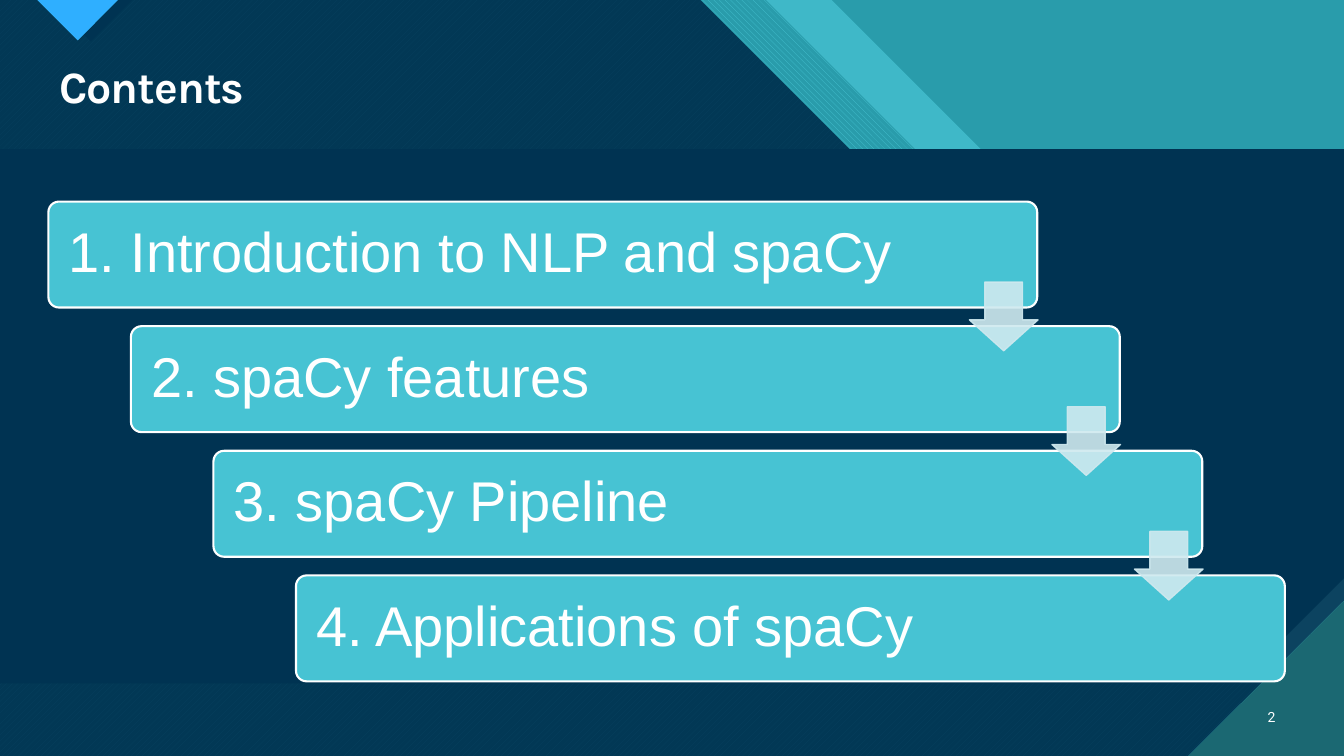
"""Build the contents slide: a staircase of four topics joined by arrows."""
from dataclasses import dataclass
from typing import Optional

from lxml import etree
from pptx import Presentation
from pptx.dml.color import RGBColor
from pptx.enum.dml import MSO_PATTERN
from pptx.enum.shapes import MSO_SHAPE
from pptx.enum.text import MSO_ANCHOR, PP_ALIGN
from pptx.oxml.ns import qn
from pptx.util import Cm, Pt

ROUNDED = MSO_SHAPE.ROUNDED_RECTANGLE
DOWN_ARROW = MSO_SHAPE.DOWN_ARROW
SNIPPED = MSO_SHAPE.SNIP_1_RECTANGLE
DOWN_DIAGONAL = MSO_PATTERN.WIDE_DOWNWARD_DIAGONAL
UP_DIAGONAL = MSO_PATTERN.WIDE_UPWARD_DIAGONAL
DARK_VERTICAL = MSO_PATTERN.DARK_VERTICAL
DARK_HORIZONTAL = MSO_PATTERN.DARK_HORIZONTAL
TOP, MIDDLE = MSO_ANCHOR.TOP, MSO_ANCHOR.MIDDLE
LEFT, RIGHT = PP_ALIGN.LEFT, PP_ALIGN.RIGHT

WHITE = RGBColor(0xFF, 0xFF, 0xFF)
NAVY = RGBColor(0x00, 0x33, 0x52)
SLATE = RGBColor(0x0C, 0x43, 0x60)
TEAL = RGBColor(0x29, 0x9C, 0xAB)
AQUA = RGBColor(0x47, 0xC3, 0xD3)
PINE = RGBColor(0x1B, 0x68, 0x72)
BLUE = RGBColor(0x2F, 0xAF, 0xFF)
PALE = RGBColor(0xCF, 0xE9, 0xEF)

WIDTH, HEIGHT = 33.87, 19.05
SHOULDER_TOP = 7.54
STEP_LEFT, STEP_TOP, STEP_WIDTH, STEP_HEIGHT = 1.22, 5.08, 24.92, 2.67
ARROW_LEFT, ARROW_TOP, ARROW_SIZE = 24.43, 7.11, 1.73
SHIFT_RIGHT, SHIFT_DOWN = 2.08, 3.14
TOPICS = (
    "1. Introduction to NLP and spaCy",
    "2. spaCy features",
    "3. spaCy Pipeline",
    "4. Applications of spaCy",
)


@dataclass(frozen=True)
class Paint:
    """A solid or patterned fill."""
    color: RGBColor
    pattern: Optional[MSO_PATTERN] = None
    back: Optional[RGBColor] = None
    opacity: int = 100


@dataclass(frozen=True)
class Band:
    """A background layer with a diagonal right edge."""
    left: float
    edge: float
    shoulder: float
    paint: Paint


@dataclass(frozen=True)
class Triangle:
    """A three-cornered ornament."""
    corners: tuple
    paint: Paint


@dataclass(frozen=True)
class TextStyle:
    """Font and placement of a line of text."""
    font: str
    size: int
    bold: bool = False
    align: PP_ALIGN = LEFT
    anchor: MSO_ANCHOR = MIDDLE


BANDS = (
    Band(0, 20.96, 31.34, Paint(AQUA, opacity=74)),
    Band(1.68, 19.3, 30.07, Paint(AQUA, DOWN_DIAGONAL, TEAL)),
    Band(0, 17.65, 28.4, Paint(AQUA, UP_DIAGONAL, PINE)),
    Band(0, 17.65, 28.4, Paint(NAVY, opacity=90)),
)
TRIANGLES = (
    Triangle(((1.22, 0), (3.33, 0), (2.29, 1.04)), Paint(NAVY)),
    Triangle(((0.94, 0), (2.97, 0), (1.96, 1.02)), Paint(BLUE, DARK_HORIZONTAL, PINE)),
    Triangle(((29.95, HEIGHT), (WIDTH, HEIGHT), (WIDTH, 15.14)),
             Paint(PINE, DARK_HORIZONTAL, AQUA)),
)
PANELS = (
    (0, Paint(SLATE, DARK_VERTICAL, PINE)),
    (0.197, Paint(NAVY)),
)
TITLE_STYLE = TextStyle("Karla", 32, bold=True, anchor=TOP)
NUMBER_STYLE = TextStyle("Roboto", 10, align=RIGHT)
TOPIC_STYLE = TextStyle("Arial", 40)


def set_opacity(element, percent: int) -> None:
    """Give every colour inside the element the same opacity."""
    for color in element.iter(qn("a:srgbClr")):
        etree.SubElement(color, qn("a:alpha")).set("val", str(percent * 1000))


def paint_shape(shape, paint: Paint) -> None:
    """Fill a shape and remove its shadow and outline."""
    shape.shadow.inherit = False
    shape.line.fill.background()
    if paint.pattern is None:
        shape.fill.solid()
    else:
        shape.fill.patterned()
        shape.fill.pattern = paint.pattern
        shape.fill.back_color.rgb = paint.back
    shape.fill.fore_color.rgb = paint.color
    if paint.opacity < 100:
        set_opacity(shape.element.spPr, paint.opacity)


def add_preset(slide, preset, left: float, top: float, width: float, height: float, paint: Paint):
    """Add a painted preset shape, measured in centimetres."""
    shape = slide.shapes.add_shape(preset, Cm(left), Cm(top), Cm(width), Cm(height))
    paint_shape(shape, paint)
    return shape


def add_polygon(slide, corners: tuple, paint: Paint) -> None:
    """Add a painted polygon, measured in centimetres."""
    points = [(Cm(x), Cm(y)) for x, y in corners]
    builder = slide.shapes.build_freeform(*points[0])
    builder.add_line_segments(points[1:], close=True)
    paint_shape(builder.convert_to_shape(), paint)


def add_band(slide, band: Band) -> None:
    """Add a layer whose edge runs down at 45 degrees, with a shoulder."""
    corners = (
        (band.left, 0),
        (band.edge, 0),
        (band.edge + SHOULDER_TOP, SHOULDER_TOP),
        (band.shoulder, SHOULDER_TOP),
        (WIDTH, SHOULDER_TOP + WIDTH - band.shoulder),
        (WIDTH, HEIGHT),
        (band.left, HEIGHT),
    )
    add_polygon(slide, corners, band.paint)


def add_panel(slide, snip: float, paint: Paint) -> None:
    """Add the central panel with its lower right corner cut."""
    panel = add_preset(slide, SNIPPED, 0, 3.76, WIDTH, 13.46, paint)
    panel.adjustments[0] = snip
    panel.element.spPr.get_or_add_xfrm().set("flipV", "1")


def write_text(shape, text: str, style: TextStyle):
    """Write one line of white text and return its run."""
    frame = shape.text_frame
    frame.text = text
    frame.word_wrap = True
    frame.vertical_anchor = style.anchor
    paragraph = frame.paragraphs[0]
    paragraph.alignment = style.align
    paragraph.line_spacing = 1.0 if style.align == RIGHT else 0.9
    run = paragraph.runs[0]
    run.font.name = style.font
    run.font.size = Pt(style.size)
    run.font.bold = style.bold
    run.font.color.rgb = WHITE
    return run


def add_topic(slide, index: int, topic: str) -> None:
    """Add one stair of the contents list."""
    box = add_preset(slide, ROUNDED, STEP_LEFT + index * SHIFT_RIGHT,
                     STEP_TOP + index * SHIFT_DOWN, STEP_WIDTH, STEP_HEIGHT, Paint(AQUA))
    box.adjustments[0] = 0.1
    box.line.color.rgb = WHITE
    box.line.width = Pt(1.5)
    write_text(box, topic, TOPIC_STYLE)
    box.text_frame.margin_left = box.text_frame.margin_right = Cm(0.43)


def add_arrow(slide, index: int) -> None:
    """Add the arrow that leads to the next stair."""
    arrow = add_preset(slide, DOWN_ARROW, ARROW_LEFT + index * SHIFT_RIGHT,
                       ARROW_TOP + index * SHIFT_DOWN, ARROW_SIZE, ARROW_SIZE, Paint(PALE))
    arrow.adjustments[0], arrow.adjustments[1] = 0.55, 0.45
    arrow.line.color.rgb = PALE
    arrow.line.width = Pt(1)
    set_opacity(arrow.element.spPr, 90)


def main() -> None:
    """Draw the slide and save it."""
    presentation = Presentation()
    presentation.slide_width, presentation.slide_height = Cm(WIDTH), Cm(HEIGHT)
    slide = presentation.slides.add_slide(presentation.slide_layouts[6])
    slide.background.fill.solid()
    slide.background.fill.fore_color.rgb = TEAL
    for band in BANDS:
        add_band(slide, band)
    for snip, paint in PANELS:
        add_panel(slide, snip, paint)
    for triangle in TRIANGLES:
        add_polygon(slide, triangle.corners, triangle.paint)
    title = slide.shapes.add_textbox(Cm(1.24), Cm(1.5), Cm(31.14), Cm(1.5))
    run = write_text(title, "Contents", TITLE_STYLE)
    run.font._element.set("spc", "-70")
    number = slide.shapes.add_textbox(Cm(31.27), Cm(17.55), Cm(1.12), Cm(1.02))
    write_text(number, "2", NUMBER_STYLE)
    for index, topic in enumerate(TOPICS):
        add_topic(slide, index, topic)
    for index in range(len(TOPICS) - 1):
        add_arrow(slide, index)
    presentation.save("out.pptx")


if __name__ == "__main__":
    main()
